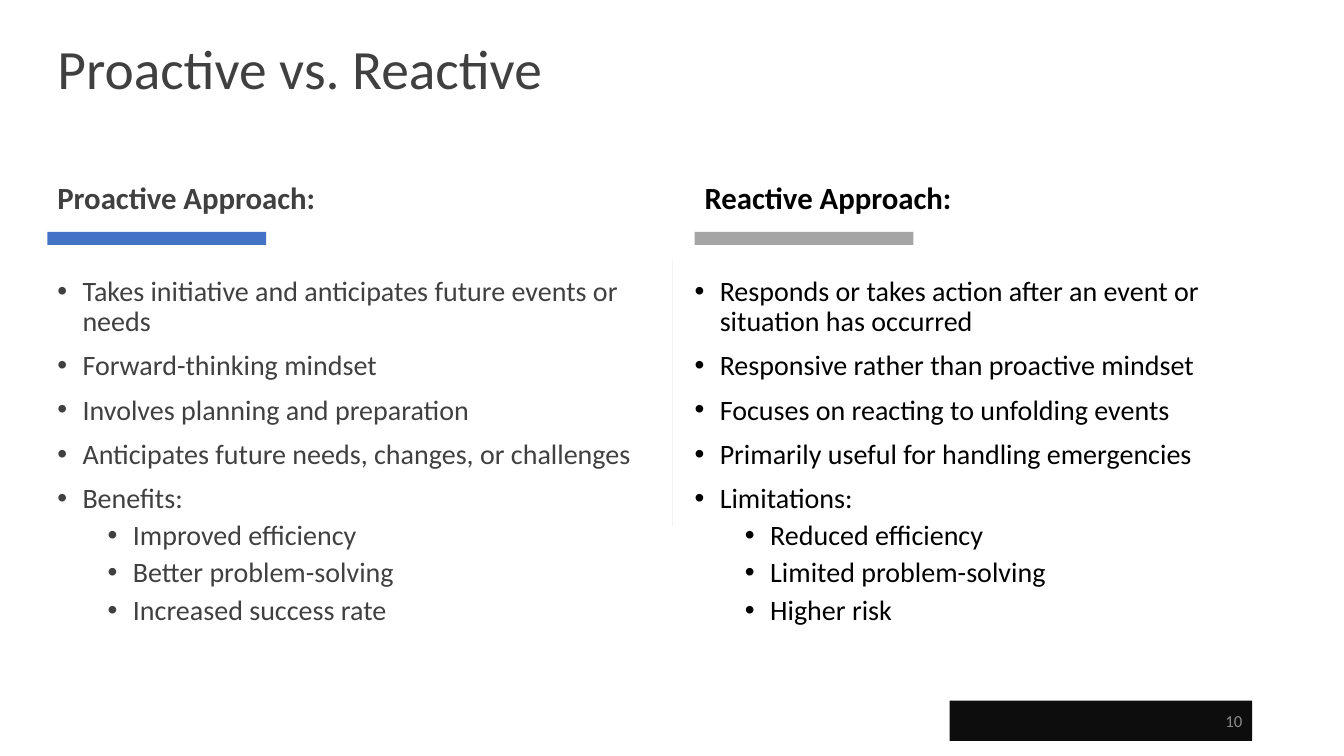
from dataclasses import dataclass

from lxml.etree import SubElement
from pptx import Presentation
from pptx.dml.color import RGBColor
from pptx.enum.shapes import MSO_CONNECTOR, MSO_SHAPE
from pptx.enum.text import MSO_ANCHOR, MSO_AUTO_SIZE, PP_ALIGN
from pptx.oxml.ns import qn
from pptx.util import Inches, Pt


@dataclass(frozen=True)
class Theme:
    font: str = "Calibri"
    gray: str = "404040"
    black: str = "000000"
    blue: str = "4472C4"
    silver: str = "A5A5A5"
    divider: str = "F2F2F2"
    footer: str = "0D0D0D"
    number: str = "8C8C8C"
    title_size: float = 39.6
    heading_size: float = 22
    body_size: float = 20
    number_size: float = 12


THEME = Theme()
MARGIN, COLUMN_WIDTH = 0.47, 5.98

PROACTIVE = ("Proactive Approach:", [
    (0, "Takes initiative and anticipates future events or needs"),
    (0, "Forward-thinking mindset"),
    (0, "Involves planning and preparation"),
    (0, "Anticipates future needs, changes, or challenges"),
    (0, "Benefits:"),
    (1, "Improved efficiency"),
    (1, "Better problem-solving"),
    (1, "Increased success rate"),
])
REACTIVE = ("Reactive Approach:", [
    (0, "Responds or takes action after an event or situation has occurred"),
    (0, "Responsive rather than proactive mindset"),
    (0, "Focuses on reacting to unfolding events"),
    (0, "Primarily useful for handling emergencies"),
    (0, "Limitations:"),
    (1, "Reduced efficiency"),
    (1, "Limited problem-solving"),
    (1, "Higher risk"),
])


def apply(target, formats):
    for name, value in formats.items():
        setattr(target, name, value)


def write(p, text, size, color, bold=False, **formats):
    """Fill a paragraph with one formatted run."""
    apply(p, formats)
    r = p.add_run()
    r.text = text
    apply(r.font, {"name": THEME.font, "size": Pt(size), "bold": bold})
    r.font.color.rgb = RGBColor.from_string(color)


def add_bullet(p, level):
    p.level = level
    pPr = p._p.get_or_add_pPr()
    pPr.set("marL", str(Inches(0.25 + 0.5 * level)))
    pPr.set("indent", str(Inches(-0.25)))
    SubElement(pPr, qn("a:buFont"), typeface="Arial")
    SubElement(pPr, qn("a:buChar"), char="•")


def add_text_box(s, left, top, width, height):
    tf = s.shapes.add_textbox(*map(Inches, (left, top, width, height))).text_frame
    apply(tf, {"word_wrap": True, "auto_size": MSO_AUTO_SIZE.NONE})
    return tf


def add_bar(s, left, top, width, height, color):
    bar = s.shapes.add_shape(MSO_SHAPE.RECTANGLE, *map(Inches, (left, top, width, height)))
    bar.shadow.inherit = False
    bar.fill.solid()
    bar.fill.fore_color.rgb = RGBColor.from_string(color)
    bar.line.fill.background()
    return bar


def add_title(s, text, left, top, width, height):
    title = s.shapes.title
    apply(title, {"left": Inches(left), "top": Inches(top),
                  "width": Inches(width), "height": Inches(height)})
    tf = title.text_frame
    apply(tf, {"vertical_anchor": MSO_ANCHOR.MIDDLE, "word_wrap": True,
               "auto_size": MSO_AUTO_SIZE.NONE})
    write(tf.paragraphs[0], text, THEME.title_size, THEME.gray,
          alignment=PP_ALIGN.LEFT, line_spacing=0.9)


def add_approach(s, content, left, top, width, text_color, bar_color, list_shift=0):
    """Place a heading, its accent bar and its bullet list in one column."""
    heading, items = content
    tf = add_text_box(s, left, top, width, 0.39)
    write(tf.paragraphs[0], heading, THEME.heading_size, text_color, bold=True,
          line_spacing=0.9, space_before=Pt(10))
    add_bar(s, left, top + 0.53, 2.17, 0.13, bar_color)

    tf = add_text_box(s, left + list_shift, top + 0.93, width, 3.43)
    for i, (level, text) in enumerate(items):
        p = tf.add_paragraph() if i else tf.paragraphs[0]
        write(p, text, THEME.body_size, text_color, line_spacing=0.9,
              space_before=Pt(5 if level else 10))
        add_bullet(p, level)


def add_divider(s, x, top, bottom):
    line = s.shapes.add_connector(MSO_CONNECTOR.STRAIGHT,
                                  *map(Inches, (x, top, x, bottom)))
    line.line.color.rgb = RGBColor.from_string(THEME.divider)
    line.line.width = Pt(0.5)
    SubElement(line._element.spPr, qn("a:effectLst"))


def add_page_number(s, number, left, top, width, height):
    tf = add_bar(s, left, top, width, height, THEME.footer).text_frame
    tf.vertical_anchor = MSO_ANCHOR.MIDDLE
    write(tf.paragraphs[0], str(number), THEME.number_size, THEME.number,
          alignment=PP_ALIGN.RIGHT)


def main():
    prs = Presentation()
    apply(prs, {"slide_width": Inches(13.33), "slide_height": Inches(7.5)})
    s = prs.slides.add_slide(prs.slide_layouts[5])
    add_title(s, "Proactive vs. Reactive", MARGIN, 0.47, 12.4, 0.47)
    add_approach(s, PROACTIVE, MARGIN, 1.77, COLUMN_WIDTH, THEME.gray, THEME.blue)
    add_approach(s, REACTIVE, 6.89, 1.77, COLUMN_WIDTH, THEME.black, THEME.silver,
                 list_shift=-0.1)
    add_page_number(s, 10, 9.42, 6.95, 3, 0.4)
    add_divider(s, 6.67, 2.58, 5.22)
    prs.save("out.pptx")


if __name__ == "__main__":
    main()
